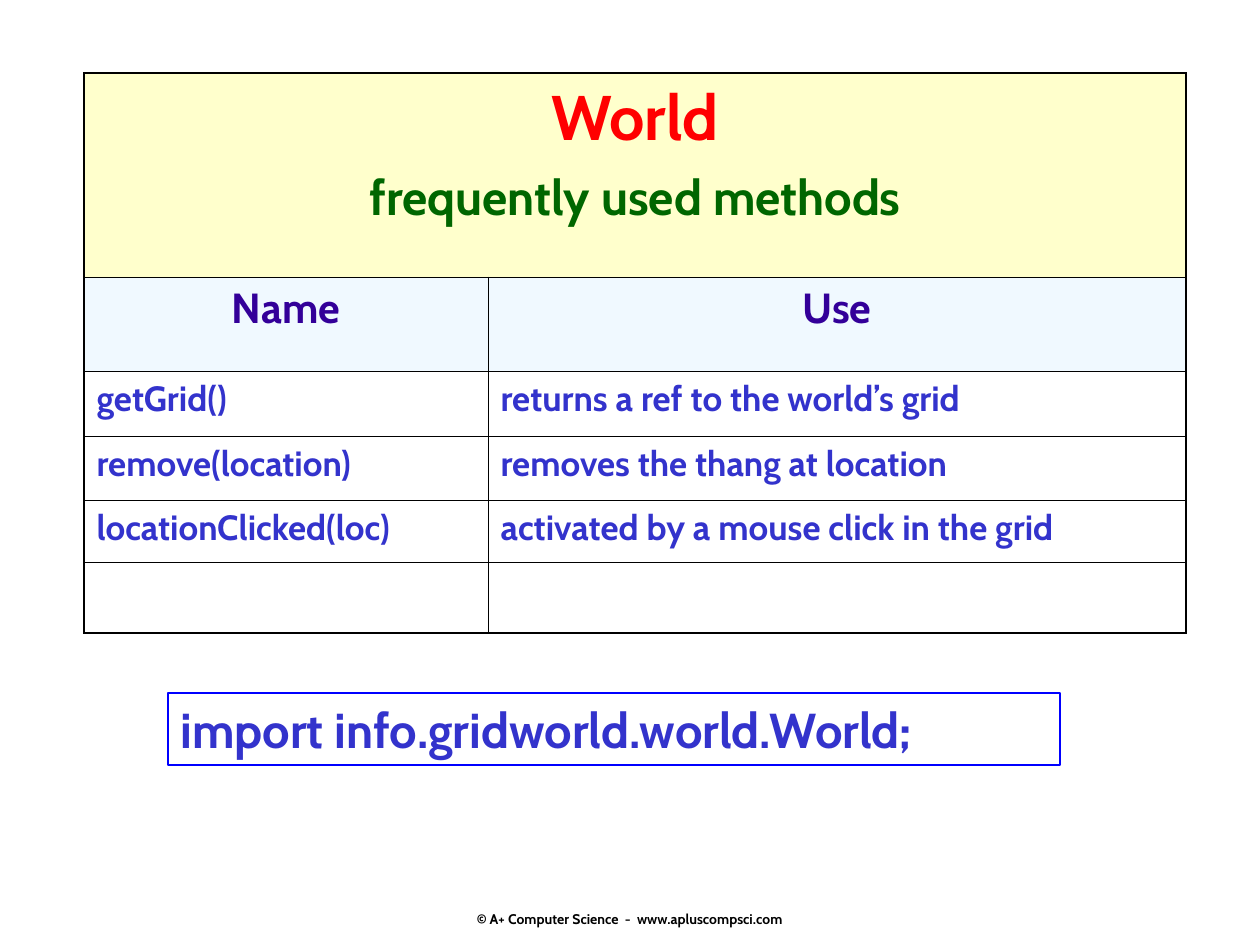
import pptx
import pptx.util
import pptx.dml.color
import pptx.enum.shapes
import pptx.enum.text
import pptx.oxml.ns
from lxml import etree

PX = 914400 / 126
ALIGN = pptx.enum.text.PP_ALIGN
ANCHOR = pptx.enum.text.MSO_ANCHOR
METHODS = [
    ("getGrid()", "returns a ref to the world’s grid"),
    ("remove(location)", "removes the thang at location"),
    ("locationClicked(loc)", "activated by a mouse click in the grid"),
    ("", ""),
]


def px(n):
    """Turn pixels into EMU."""
    return pptx.util.Emu(round(n * PX))


def rgb(color):
    """Turn a hex string into a colour."""
    return pptx.dml.color.RGBColor.from_string(color)


def add_text(p, text, size, color, align=ALIGN.LEFT):
    """Add one bold run to a paragraph."""
    p.alignment = align
    r = p.add_run()
    r.text = text
    r.font.name = "Cabin"
    r.font.size = pptx.util.Pt(size)
    r.font.bold = True
    r.font.color.rgb = rgb(color)


def set_border(cell, side, width):
    """Draw one black edge of a cell."""
    tag = pptx.oxml.ns.qn
    ln = etree.SubElement(cell._tc.get_or_add_tcPr(), tag("a:ln" + side))
    ln.set("w", str(pptx.util.Pt(width)))
    fill = etree.SubElement(ln, tag("a:solidFill"))
    etree.SubElement(fill, tag("a:srgbClr")).set("val", "000000")


def style_cell(cell, outer, fill=None):
    """Set borders, thicker on the outer sides, and the fill of a cell."""
    for side in "LRTB":
        set_border(cell, side, 1.08 if side in outer else 0.45)
    if fill:
        cell.fill.solid()
        cell.fill.fore_color.rgb = rgb(fill)
    else:
        cell.fill.background()


def add_methods_table(s, x, y, w):
    """Place the table of methods with its heading rows."""
    heights = [204, 94, 65, 64, 62, 71]
    widths = [404, w - 404]
    frame = s.shapes.add_table(len(heights), 2, px(x), px(y), px(w), px(sum(heights)))
    table = frame.table
    table.first_row = table.horz_banding = False
    for column, width in zip(table.columns, widths):
        column.width = px(width)
    for i, height in enumerate(heights):
        table.rows[i].height = px(height)
        for j, side in enumerate("LR"):
            edge = {0: "T", len(heights) - 1: "B"}.get(i, "")
            fill = {0: "FFFFCC", 1: "F0F9FF"}.get(i)
            style_cell(table.cell(i, j), "LRT" if i == 0 else side + edge, fill)

    heading = table.cell(0, 0)
    heading.merge(table.cell(0, 1))
    tf = heading.text_frame
    add_text(tf.paragraphs[0], "World", 36, "FF0000", ALIGN.CENTER)
    p = tf.add_paragraph()
    p.space_before = pptx.util.Pt(7)
    add_text(p, "frequently used methods", 28, "006600", ALIGN.CENTER)

    for j, label in enumerate(("Name", "Use")):
        p = table.cell(1, j).text_frame.paragraphs[0]
        add_text(p, label, 24, "330099", ALIGN.CENTER)
    for i, method in enumerate(METHODS, 2):
        for j, text in enumerate(method):
            if text:
                p = table.cell(i, j).text_frame.paragraphs[0]
                add_text(p, text, 20, "3333CC")


def add_import_box(s, x, y, w, h):
    """Place the outlined import statement."""
    rectangle = pptx.enum.shapes.MSO_SHAPE.RECTANGLE
    sp = s.shapes.add_shape(rectangle, px(x), px(y), px(w), px(h))
    sp.shadow.inherit = False
    sp.fill.background()
    sp.line.color.rgb = rgb("0000FF")
    sp.line.width = pptx.util.Pt(1)
    tf = sp.text_frame
    tf.word_wrap = True
    tf.vertical_anchor = ANCHOR.TOP
    add_text(tf.paragraphs[0], "import info.gridworld.world.World;", 28, "3333CC")


def add_footer(s, x, y, w, h):
    """Place the copyright line at the bottom of its box."""
    tf = s.shapes.add_textbox(px(x), px(y), px(w), px(h)).text_frame
    tf.word_wrap = False
    tf.vertical_anchor = ANCHOR.BOTTOM
    tf.margin_bottom = 0
    text = "© A+ Computer Science  -  www.apluscompsci.com"
    add_text(tf.paragraphs[0], text, 8, "000000", ALIGN.CENTER)


def main():
    """Build and save the slide."""
    prs = pptx.Presentation()
    prs.slide_width, prs.slide_height = px(1260), px(945)
    s = prs.slides.add_slide(prs.slide_layouts[6])
    add_footer(s, 430, 864, 400, 63)
    add_methods_table(s, 84, 73, 1102)
    add_import_box(s, 168, 693, 892, 72)
    prs.save("out.pptx")


if __name__ == "__main__":
    main()
